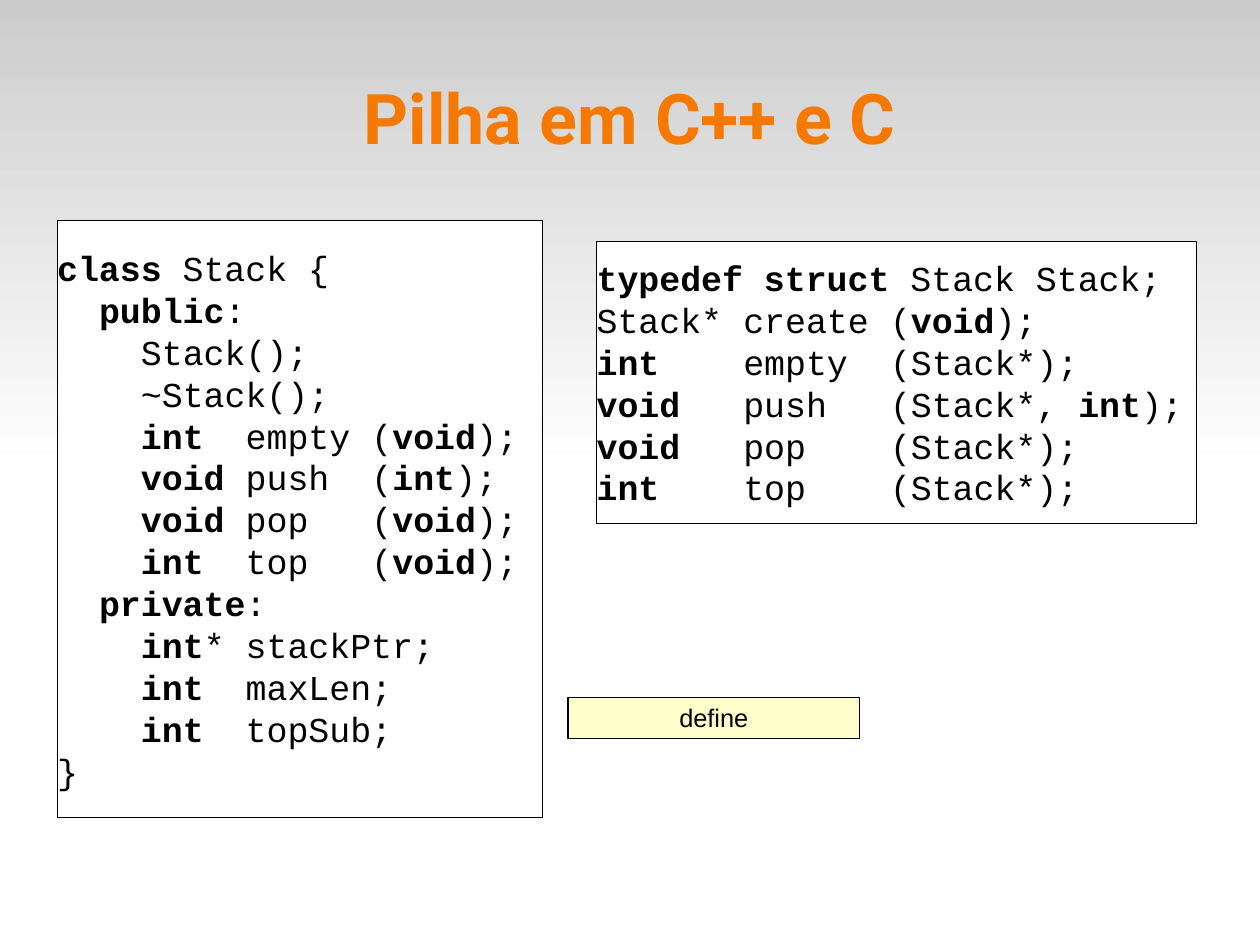
import pptx
import pptx.dml.color
import pptx.enum.shapes
import pptx.enum.text
import pptx.oxml.ns
import pptx.util
from lxml import etree

Inches = pptx.util.Inches
ALIGN = pptx.enum.text.PP_ALIGN
WIDE, HIGH = 28 / 2.54, 21 / 2.54  # slide of 28 by 21 cm, in inches
CHAR = 22 * 0.6 / 72  # width of one code letter in inches

# "|" switches bold on and off; a tab moves to the next code column
CLASS = """|class| Stack {
\t|public|:
\t\tStack();
\t\t~Stack();
\t\t|int|\tempty\t(|void|);
\t\t|void|\tpush\t(|int|);
\t\t|void|\tpop\t(|void|);
\t\t|int|\ttop\t(|void|);
\t|private|:
\t\t|int|*\tstackPtr;
\t\t|int|\tmaxLen;
\t\t|int|\ttopSub;
}"""

STRUCT = """|typedef struct| Stack Stack;
Stack*\tcreate\t(|void|);
|int|\tempty\t(Stack*);
|void|\tpush\t(Stack*, |int|);
|void|\tpop\t(Stack*);
|int|\ttop\t(Stack*);"""


def color(code):
    return pptx.dml.color.RGBColor.from_string(code)


def add_tabs(para, cols):
    """Set left tab stops at the given letter columns."""
    props = para._p.get_or_add_pPr()
    tabs = etree.SubElement(props, pptx.oxml.ns.qn("a:tabLst"))
    for col in cols:
        tab = etree.SubElement(tabs, pptx.oxml.ns.qn("a:tab"))
        tab.set("pos", str(Inches(col * CHAR)))
        tab.set("algn", "l")


def write(shape, text, size=22, font="Courier New", ink="000000",
          bold=False, align=ALIGN.LEFT, cols=(), pad=(0, 0), wrap=True):
    """Fill a shape with text, one paragraph a line."""
    frame = shape.text_frame
    frame.word_wrap = wrap
    frame.vertical_anchor = pptx.enum.text.MSO_ANCHOR.MIDDLE
    frame.margin_left = frame.margin_right = Inches(pad[0])
    frame.margin_top = frame.margin_bottom = Inches(pad[1])
    for row, line in enumerate(text.split("\n")):
        para = frame.add_paragraph() if row else frame.paragraphs[0]
        para.alignment = align
        if cols:
            add_tabs(para, cols)
        for part, piece in enumerate(line.split("|")):
            if piece:
                run = para.add_run()
                run.text = piece
                run.font.size = pptx.util.Pt(size)
                run.font.name = font
                run.font.bold = bold or part % 2 == 1
                run.font.color.rgb = color(ink)


def add_box(slide, left, top, width, height, fill="FFFFFF", alpha=None):
    """Draw a rectangle with a thin black outline."""
    box = slide.shapes.add_shape(
        pptx.enum.shapes.MSO_SHAPE.RECTANGLE,
        Inches(left), Inches(top), Inches(width), Inches(height))
    box.shadow.inherit = False
    box.fill.solid()
    box.fill.fore_color.rgb = color(fill)
    box.line.color.rgb = color("000000")
    box.line.width = pptx.util.Pt(0)
    if alpha is not None:
        tint = box.fill._xPr.find(".//" + pptx.oxml.ns.qn("a:srgbClr"))
        etree.SubElement(tint, pptx.oxml.ns.qn("a:alpha")).set(
            "val", str(alpha * 1000))
    return box


def add_fade(slide, width, height, shades):
    """Draw the band that fades from top to bottom."""
    band = add_box(slide, 0, 0, width, height)
    band.line.fill.background()
    band.fill.gradient()
    band.fill.gradient_angle = 270
    for stop, shade in zip(band.fill.gradient_stops, shades):
        stop.color.rgb = color(shade)


def add_title(slide, text):
    box = slide.shapes.add_textbox(
        Inches(0.55), Inches(0.33), Inches(9.92), Inches(1.38))
    write(box, text, size=44, font="Roboto", ink="F57900", bold=True,
          align=ALIGN.CENTER)


def main():
    deck = pptx.Presentation()
    deck.slide_width = Inches(WIDE)
    deck.slide_height = Inches(HIGH)
    slide = deck.slides.add_slide(deck.slide_layouts[6])

    # Background and title
    add_fade(slide, WIDE, HIGH / 2, ("CCCCCC", "FFFFFF"))
    add_title(slide, "Pilha em C++ e C")

    # C++ class and C interface
    write(add_box(slide, 0.5, 1.93, 4.25, 5.22), CLASS, cols=(2, 4, 9, 15))
    write(add_box(slide, 5.22, 2.11, 5.25, 2.47), STRUCT, cols=(7, 14))

    # Label
    label = add_box(slide, 4.97, 6.1, 2.55, 0.36, fill="FFFF99", alpha=50)
    write(label, "define", size=16, font="Arial", align=ALIGN.CENTER,
          pad=(0.1, 0.05), wrap=False)

    deck.save("out.pptx")


if __name__ == "__main__":
    main()
